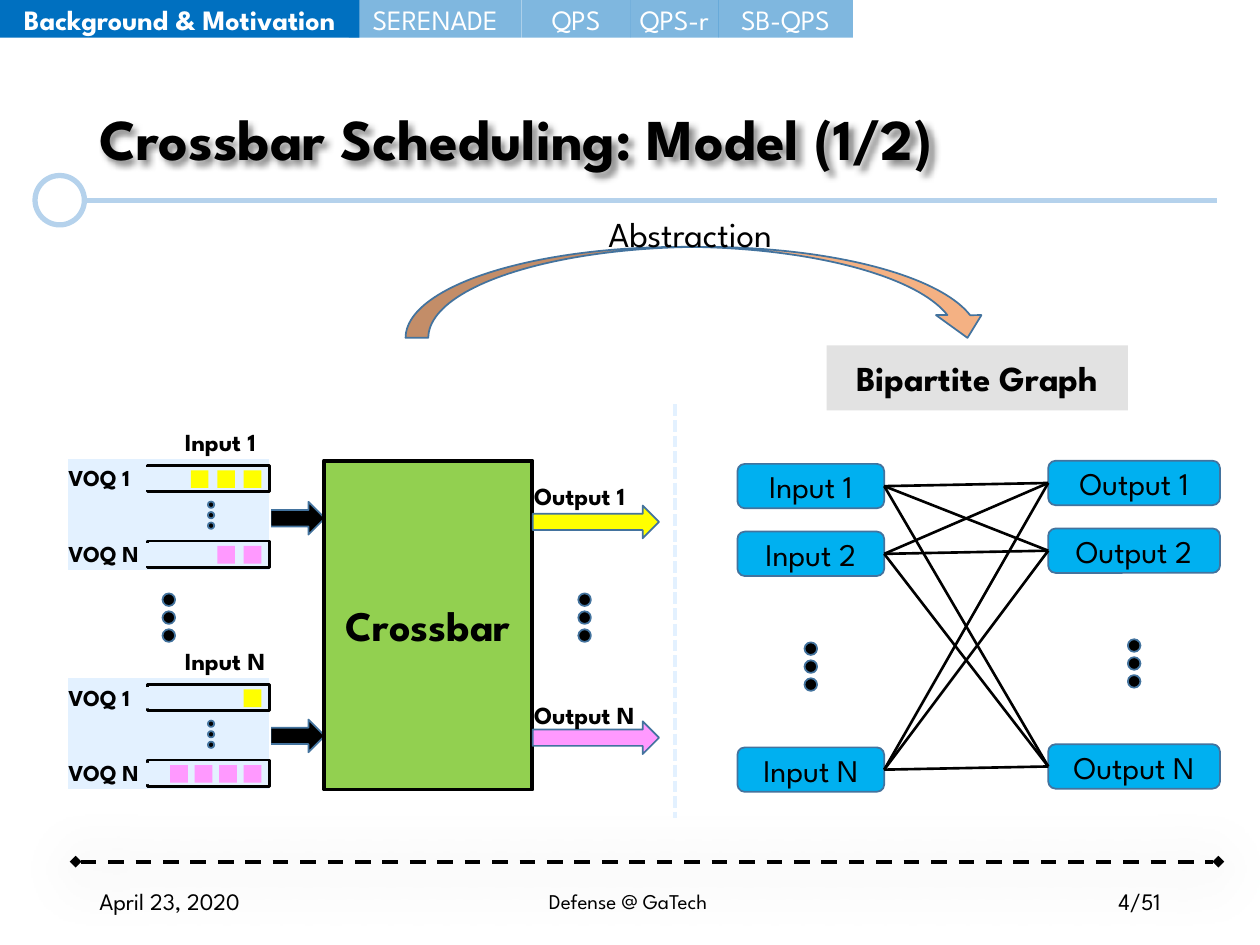
from dataclasses import dataclass
from itertools import product

from lxml import etree
from pptx import Presentation
from pptx.dml.color import RGBColor
from pptx.enum.dml import MSO_LINE
from pptx.enum.shapes import MSO_CONNECTOR, MSO_SHAPE
from pptx.enum.text import MSO_ANCHOR, MSO_AUTO_SIZE, PP_ALIGN
from pptx.oxml.ns import qn
from pptx.util import Pt

RECT, ROUND, OVAL = MSO_SHAPE.RECTANGLE, MSO_SHAPE.ROUNDED_RECTANGLE, MSO_SHAPE.OVAL
ARROW, ARC = MSO_SHAPE.RIGHT_ARROW, MSO_SHAPE.CURVED_DOWN_ARROW
LEFT, MID, RIGHT = PP_ALIGN.LEFT, PP_ALIGN.CENTER, PP_ALIGN.RIGHT
TOP, CENTER = MSO_ANCHOR.TOP, MSO_ANCHOR.MIDDLE
FIT, FIXED = MSO_AUTO_SIZE.SHAPE_TO_FIT_TEXT, MSO_AUTO_SIZE.NONE
STRAIGHT = MSO_CONNECTOR.STRAIGHT
DASH, SHORT = MSO_LINE.DASH, MSO_LINE.SQUARE_DOT
LEFT_SITE, RIGHT_SITE = 1, 3


@dataclass(frozen=True)
class Theme:
    font: str = "League Spartan"
    black: str = "000000"
    white: str = "FFFFFF"
    rule: str = "B5D2EC"
    pale: str = "E3F1FF"
    edge: str = "43739E"
    node: str = "00B0F0"
    green: str = "92D050"
    peach: str = "F4B183"
    gold: str = "FFFF00"
    pink: str = "FF99FF"
    gray: str = "E2E2E2"
    tab: str = "0070C0"
    title: float = 33
    hub: float = 24
    head: float = 20
    body: float = 18
    nav: float = 16
    port: float = 14
    date: float = 13.5
    queue: float = 13
    foot: float = 12


T = Theme()


def put(target, values):
    for name, value in values.items():
        setattr(target, name, value)


class Board:
    def __init__(self, slide, theme):
        self.slide, self.theme = slide, theme

    def fill(self, shape, text, size, color=None, bold=False, align=MID,
             anchor=CENTER, wrap=True, side=7.2):
        """Put styled text into a shape."""
        frame = shape.text_frame
        put(frame, dict(word_wrap=wrap, vertical_anchor=anchor,
                        auto_size=FIXED if wrap else FIT,
                        margin_left=Pt(side), margin_right=Pt(side)))
        line = frame.paragraphs[0]
        line.text, line.alignment = text, align
        font = line.runs[0].font
        put(font, dict(name=self.theme.font, size=Pt(size), bold=bold))
        font.color.rgb = RGBColor.from_string(color or self.theme.black)

    def text(self, box, text, size, **style):
        shape = self.slide.shapes.add_textbox(*map(Pt, box))
        self.fill(shape, text, size, **style)
        return shape

    def label(self, x, y, w, text, size, bold=True):
        self.text((x, y, w, 24), text, size, bold=bold, align=LEFT,
                  anchor=TOP, wrap=False)

    def shape(self, kind, box, fill, edge=None, width=1, alpha=None):
        shape = self.slide.shapes.add_shape(kind, *map(Pt, box))
        shape.shadow.inherit = False
        shape.fill.solid()
        shape.fill.fore_color.rgb = RGBColor.from_string(fill)
        if alpha:
            color = shape._element.spPr.find(".//" + qn("a:srgbClr"))
            etree.SubElement(color, qn("a:alpha"), val=str(alpha * 1000))
        if edge:
            shape.line.color.rgb = RGBColor.from_string(edge)
            shape.line.width = Pt(width)
        else:
            shape.line.fill.background()
        return shape

    def line(self, start, end, color, width, dash=None):
        line = self.slide.shapes.add_connector(STRAIGHT, *map(Pt, (*start, *end)))
        line.line.color.rgb = RGBColor.from_string(color)
        put(line.line, dict(width=Pt(width), dash_style=dash))
        etree.SubElement(line._element.spPr, qn("a:effectLst"))
        return line

    def link(self, source, target):
        line = self.line((0, 0), (0, 0), self.theme.black, 1.5)
        line.begin_connect(source, RIGHT_SITE)
        line.end_connect(target, LEFT_SITE)

    def shade(self, shape, alpha, blur, dist, angle):
        props = shape._element.spPr
        effects = props.find(qn("a:effectLst"))
        if effects is None:
            effects = etree.SubElement(props, qn("a:effectLst"))
        shadow = etree.SubElement(
            effects, qn("a:outerShdw"), blurRad=str(int(Pt(blur))),
            dist=str(int(Pt(dist))), dir=str(angle * 60000), algn="t",
            rotWithShape="0")
        color = etree.SubElement(shadow, qn("a:srgbClr"), val=self.theme.black)
        etree.SubElement(color, qn("a:alpha"), val=str(alpha * 1000))

    def dots(self, x, y, size=7.2, step=10.25):
        for i in range(3):
            self.shape(OVAL, (x, y + i * step, size, size), T.black, T.edge)

    def nodes(self, x, y, w, word):
        """Draw one side of the graph and return its boxes."""
        boxes = []
        for tag, drop in (("1", 0), ("2", 38.7), ("N", 162)):
            box = self.shape(ROUND, (x, y + drop, w, 25.4), T.node, T.edge)
            self.fill(box, f"{word} {tag}", T.body)
            boxes.append(box)
        self.dots(x + w / 2 - 3.6, y + 102)
        return boxes

    def port(self, y, tag, rows, edge):
        """Draw one input port with its queues."""
        self.shape(RECT, (38.2, y, 115.9, 64.8), T.pale, T.white)
        for name, drop, color, count, step in rows:
            top = y + drop
            self.shape(RECT, (84.2, top, 69.8, 15.1), T.pale, T.black, 1.5)
            self.shape(RECT, (83.5, top + 1.6, 12.2, 12.2), T.pale, edge)
            for i in range(count):
                self.shape(RECT, (139.3 - i * step, top + 2.9, 10.1, 10.1), color)
            self.label(32, top - 4.2, 58, name, T.queue)
        self.dots(118.8, y + 25, 3.6, 6)
        self.label(98.6, y - 21, 62, f"Input {tag}", T.port)


def main():
    deck = Presentation()
    put(deck, dict(slide_width=Pt(720), slide_height=Pt(540)))
    board = Board(deck.slides.add_slide(deck.slide_layouts[6]), T)

    # Title and frame
    board.line((49.7, 114.6), (695.5, 114.6), T.rule, 3)
    board.shape(OVAL, (20, 100.3, 28.2, 28.2), T.white, T.rule, 3)
    base = board.line((43.2, 492.4), (696.2, 492.4), T.black, 2.25, DASH)
    stroke = base._element.spPr.find(qn("a:ln"))
    for end in ("headEnd", "tailEnd"):
        etree.SubElement(stroke, qn(f"a:{end}"), type="diamond")
    board.shade(base, 43, 36, 4, 90)
    title = board.text((49.7, 28.8, 566, 104.4), "Crossbar Scheduling: Model (1/2)",
                       T.title, bold=True, align=LEFT)
    title.text_frame.paragraphs[0].line_spacing = 0.9
    board.shade(title, 43, 4, 3, 45)

    # Bipartite graph
    board.line((385.9, 231.1), (385.9, 467.3), T.pale, 2.25, SHORT)
    inputs = board.nodes(421.4, 265.1, 83.9, "Input")
    outputs = board.nodes(599, 263.3, 98.2, "Output")
    for pair in product(inputs, outputs):
        board.link(*pair)
    graph = board.shape(RECT, (472.3, 197.4, 172.2, 37.2), T.gray)
    board.fill(graph, "Bipartite Graph", T.head, bold=True)
    board.shape(ARC, (231.8, 141.1, 334.1, 52), T.peach, T.edge)
    board.label(340.6, 118.1, 127.4, "Abstraction", T.head, bold=False)

    # Crossbar with its ports
    for y in (286.8, 411.2):
        board.shape(ARROW, (154.6, y, 31, 18.7), T.black, T.edge)
    hub = board.shape(RECT, (185.2, 263.2, 119, 188), T.green, T.black, 2.25)
    board.fill(hub, "Crossbar", T.hub, bold=True)
    first, last = ("VOQ 1", 4.3, T.gold), ("VOQ N", 47.5, T.pink)
    board.port(261.6, "1", [(*first, 3, 15.1), (*last, 2, 15.1)], T.pale)
    board.port(386.8, "N", [(*first, 1, 15.1), (*last, 4, 14)], None)
    for tag, y, color in (("1", 288.9, T.gold), ("N", 412.2, T.pink)):
        board.shape(ARROW, (304.4, y, 72.2, 18.7), color, T.edge)
    for tag, y in (("1", 271.4), ("N", 396.7)):
        board.label(298.1, y, 75, f"Output {tag}", T.port)
    for x in (92.9, 330.5):
        board.dots(x, 339.1)

    # Section tabs
    tabs = (("Background & Motivation", 0, 205.4), ("SERENADE", 199.4, 98.6),
            ("QPS", 298, 62.4), ("QPS-r", 360.2, 50.4), ("SB-QPS", 410.4, 77))
    for i, (name, x, w) in enumerate(tabs):
        tab = board.shape(RECT, (x, 0, w, 21.6), T.tab, alpha=50 if i else None)
        board.fill(tab, name, T.nav, T.white, bold=not i, side=0)

    # Footer
    for name, x, w, size, align in (
            ("April 23, 2020", 49.7, 162, T.date, LEFT),
            ("Defense @ GaTech", 173.5, 370.8, T.foot, MID),
            ("4/51", 508.3, 162, T.date, RIGHT)):
        board.text((x, 500.4, w, 28.8), name, size, align=align)

    deck.save("out.pptx")


if __name__ == "__main__":
    main()
